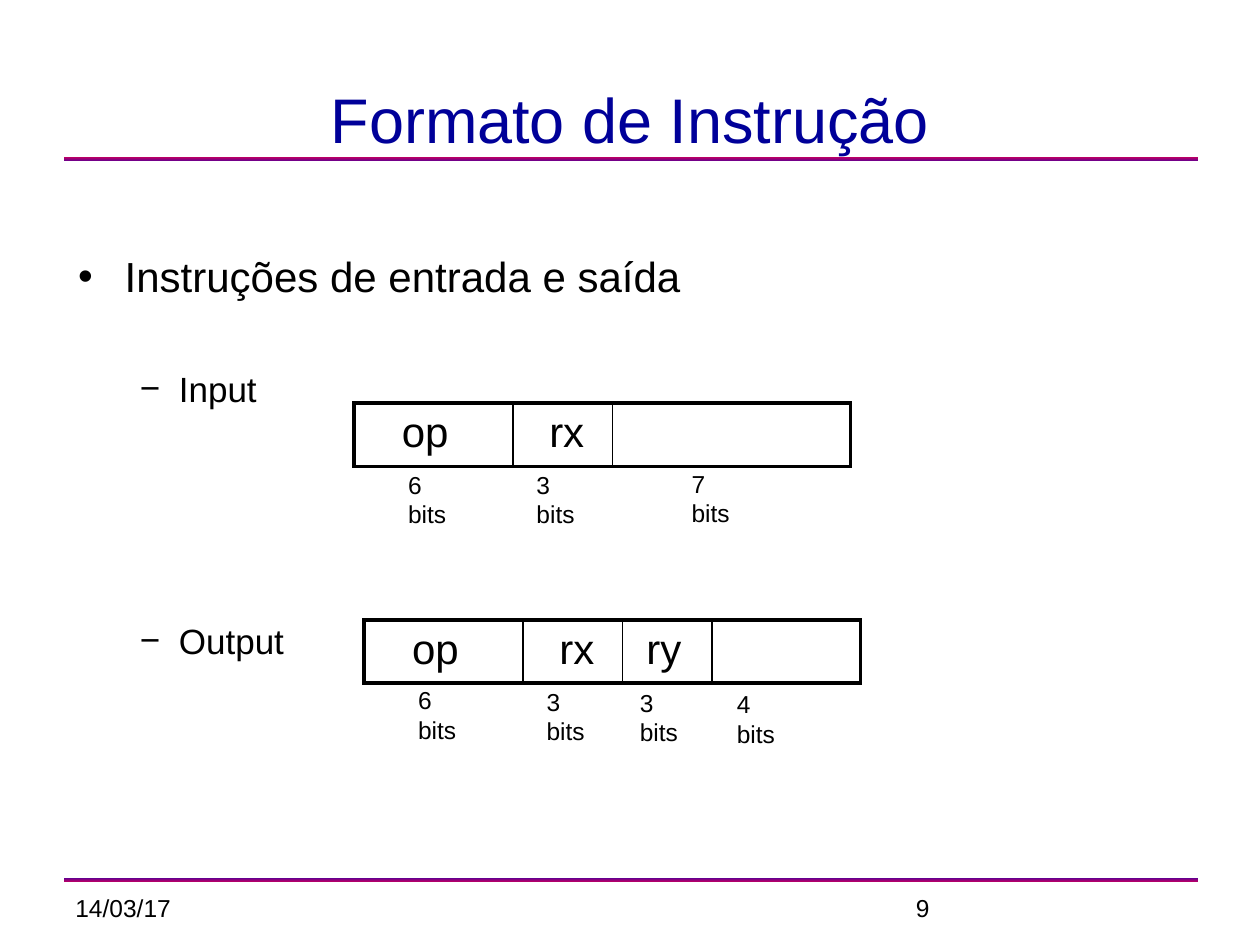
from lxml import etree
from pptx import Presentation
from pptx.dml.color import RGBColor as Rgb
from pptx.enum.shapes import MSO_SHAPE as Shape
from pptx.enum.text import MSO_ANCHOR as Anchor, MSO_AUTO_SIZE as Fit, PP_ALIGN as Align
from pptx.oxml.ns import qn
from pptx.util import Inches, Pt

FONT = "Arial"
COLORS = {"text": "000000", "title": "000099", "violet": "66008F", "plum": "BA0066"}

TITLE = "Formato de Instrução"
# text, level, space before in points
ITEMS = [
    ("Instruções de entrada e saída", 0, 0),
    ("Input", 1, 38),
    ("Output", 1, 120),
]
# by level: size, bullet, indent, hanging
LEVELS = [(24, "•", 0.38, -0.37), (20, "−", 0.81, -0.31)]
# fields: name, width, left margin; labels: text, left, top
FORMATS = [
    {
        "at": (2.81, 3.2),
        "fields": [("op", 1.26, 0.38), ("rx", 0.79, 0.29), ("", 1.89, 0.1)],
        "labels": [("6 bits", 3.14, 3.68), ("3 bits", 4.16, 3.68), ("7 bits", 5.39, 3.67)],
    },
    {
        "at": (2.89, 4.92),
        "fields": [("op", 1.26, 0.38), ("rx", 0.79, 0.29), ("ry", 0.71, 0.19), ("", 1.18, 0.1)],
        "labels": [("6 bits", 3.22, 5.39), ("3 bits", 4.24, 5.4),
                   ("3 bits", 4.98, 5.41), ("4 bits", 5.75, 5.42)],
    },
]
FOOTER = [("14/03/17", 0.5), ("9", 7.17)]
# top, first colour, last colour
RULES = [(1.25, "violet", "plum"), (6.97, "plum", "violet")]
ROW = 0.5
OUTER, INNER = 2.21, 0.96


def write(para, text, size=14, color="text", align=Align.LEFT, before=0):
    para.alignment = align
    para.space_before = Pt(before)
    run = para.add_run()
    run.text = text
    run.font.name = FONT
    run.font.size = Pt(size)
    run.font.color.rgb = Rgb.from_string(COLORS[color])


def place(shape, *box):
    shape.left, shape.top, shape.width, shape.height = map(Inches, box)


def add_text(shapes, text, *box, wrap=True):
    frame = shapes.add_textbox(*map(Inches, box)).text_frame
    frame.word_wrap = wrap
    write(frame.paragraphs[0], text)


def add_rule(slide, top, first, last):
    bar = slide.shapes.add_shape(Shape.RECTANGLE, *map(Inches, (0.51, top, 9, 0.03)))
    bar.shadow.inherit = False
    bar.line.fill.background()
    bar.fill.gradient()
    bar.fill.gradient_angle = 90
    for stop, name in zip(bar.fill.gradient_stops, (first, last)):
        stop.color.rgb = Rgb.from_string(COLORS[name])


def set_bullet(para, mark, indent, hang):
    props = para._p.get_or_add_pPr()
    props.set("marL", str(Inches(indent)))
    props.set("indent", str(Inches(hang)))
    etree.SubElement(props, qn("a:buFont")).set("typeface", FONT)
    etree.SubElement(props, qn("a:buChar")).set("char", mark)


def set_borders(cell, left, right):
    props = cell._tc.get_or_add_tcPr()
    sides = {"L": left, "R": right, "T": OUTER, "B": OUTER}
    for i, (side, width) in enumerate(sides.items()):
        line = etree.Element(qn("a:ln" + side), w=str(Pt(width)))
        fill = etree.SubElement(line, qn("a:solidFill"))
        etree.SubElement(fill, qn("a:srgbClr")).set("val", COLORS["text"])
        props.insert(i, line)


def add_format(slide, at, fields, labels):
    """Draw one instruction word as a table row, with its field sizes below."""
    count = len(fields)
    total = sum(width for _, width, _ in fields)
    table = slide.shapes.add_table(1, count, *map(Inches, (*at, total, ROW))).table
    table.first_row = table.horz_banding = False
    for i, (name, width, margin) in enumerate(fields):
        table.columns[i].width = Inches(width)
        cell = table.cell(0, i)
        cell.margin_left = Inches(margin)
        cell.fill.background()
        set_borders(cell, INNER if i else OUTER, INNER if i < count - 1 else OUTER)
        if name:
            write(cell.text_frame.paragraphs[0], name, size=24)
    group = slide.shapes.add_group_shape()
    for text, left, top in labels:
        add_text(group.shapes, text, left, top, 0.66, 0.33, wrap=False)


def main():
    deck = Presentation()
    deck.slide_width, deck.slide_height = Inches(10), Inches(7.5)
    slide = deck.slides.add_slide(deck.slide_layouts[1])
    title, body = slide.placeholders

    for rule in RULES:
        add_rule(slide, *rule)
    for text, left in FOOTER:
        add_text(slide.shapes, text, left, 7.04, 2.33, 0.52)

    place(title, 0.51, 0.5, 8.98, 0.79)
    title.text_frame.vertical_anchor = Anchor.BOTTOM
    title.text_frame.auto_size = Fit.NONE
    write(title.text_frame.paragraphs[0], TITLE, size=36, color="title", align=Align.CENTER)

    place(body, 0.51, 1.44, 8.98, 5.35)
    frame = body.text_frame
    frame.auto_size = Fit.NONE
    frame.margin_top = Inches(0.55)
    for i, (text, level, before) in enumerate(ITEMS):
        para = frame.add_paragraph() if i else frame.paragraphs[0]
        size, *bullet = LEVELS[level]
        para.level = level
        write(para, text, size=size, before=before)
        set_bullet(para, *bullet)

    for form in FORMATS:
        add_format(slide, **form)
    deck.save("out.pptx")


if __name__ == "__main__":
    main()
